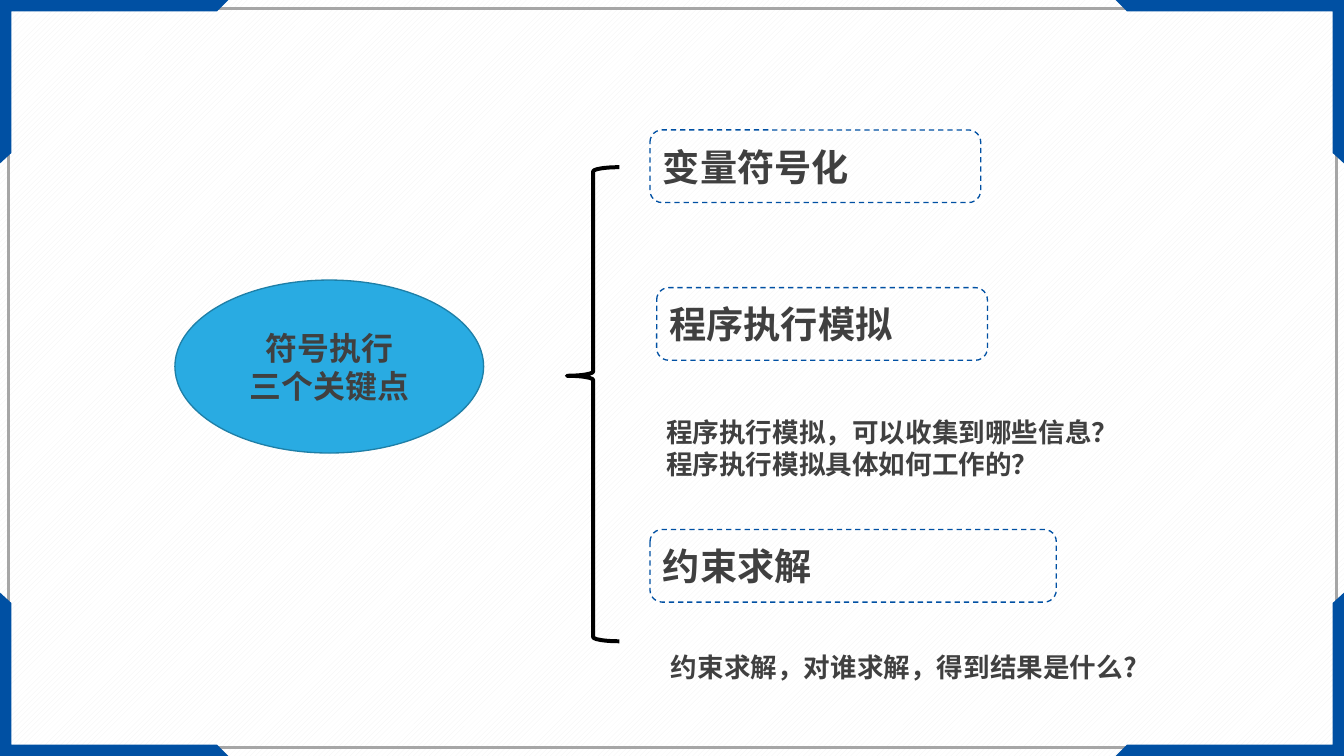
import pptx
import pptx.util
import pptx.dml.color
import pptx.enum.dml
import pptx.enum.shapes
import pptx.enum.text
import pptx.oxml.ns
import lxml.etree

Inches = pptx.util.Inches
Pt = pptx.util.Pt
RGBColor = pptx.dml.color.RGBColor
SHAPE = pptx.enum.shapes.MSO_SHAPE
ALIGN = pptx.enum.text.PP_ALIGN
ANCHOR = pptx.enum.text.MSO_ANCHOR
DASH = pptx.enum.dml.MSO_LINE.DASH

WHITE = RGBColor(0xFF, 0xFF, 0xFF)
PALE = RGBColor(0xF2, 0xF2, 0xF2)
GRAY = RGBColor(0xA6, 0xA6, 0xA6)
NAVY = RGBColor(0x00, 0x50, 0xA3)
SKY = RGBColor(0x29, 0xAB, 0xE2)
TEAL = RGBColor(0x1E, 0x7F, 0xA7)
BLACK = RGBColor(0x00, 0x00, 0x00)
INK = RGBColor(0x40, 0x40, 0x40)

FONT = "Noto Sans CJK SC"
WIDTH, HEIGHT = 14.06, 7.91
CORNER = [(0, 0), (2.39, 0), (2.27, 0.12), (0.12, 0.12), (0.12, 1.6), (0, 1.71)]

TOPICS = [
    ("变量符号化", 6.8, 1.36, 3.46),
    ("程序执行模拟", 6.87, 3.01, 3.46),
    ("约束求解", 6.8, 5.54, 4.25),
]


def write(shape, text, size=20, align=ALIGN.LEFT, anchor=ANCHOR.TOP, wrap=True):
    """Put each line of text in its own paragraph."""
    frame = shape.text_frame
    frame.word_wrap = wrap
    frame.vertical_anchor = anchor
    for i, line in enumerate(text.split("\n")):
        para = frame.add_paragraph() if i else frame.paragraphs[0]
        para.alignment = align
        para.line_spacing = Pt(size * 1.2)
        run = para.add_run()
        run.text = line
        font = run.font
        font.size, font.bold, font.name = Pt(size), True, FONT
        font.color.rgb = INK
        tag = pptx.oxml.ns.qn("a:ea")
        lxml.etree.SubElement(font._element, tag).set("typeface", FONT)


def paint(shape, fill=None, line=None, width=1, dash=None):
    shape.shadow.inherit = False
    if fill is None:
        shape.fill.background()
    else:
        shape.fill.solid()
        shape.fill.fore_color.rgb = fill
    if line is None:
        shape.line.fill.background()
    else:
        shape.line.color.rgb = line
        shape.line.width = Pt(width)
        if dash is not None:
            shape.line.dash_style = dash


def draw(slide, kind, box, **look):
    shape = slide.shapes.add_shape(kind, *map(Inches, box))
    paint(shape, **look)
    return shape


def add_corner(slide, right, low):
    """Mirror the top left corner piece to the chosen corner."""
    points = [
        (Inches(WIDTH - x if right else x), Inches(HEIGHT - y if low else y))
        for x, y in CORNER
    ]
    path = slide.shapes.build_freeform(*points[0])
    path.add_line_segments(points[1:], close=True)
    paint(path.convert_to_shape(), fill=NAVY)


def add_note(slide, text, box, wrap=True):
    note = slide.shapes.add_textbox(*map(Inches, box))
    write(note, text, wrap=wrap)
    note.text_frame.auto_size = pptx.enum.text.MSO_AUTO_SIZE.SHAPE_TO_FIT_TEXT


def add_back(slide):
    fill = slide.background.fill
    fill.patterned()
    fill.pattern = pptx.enum.dml.MSO_PATTERN.WIDE_UPWARD_DIAGONAL
    fill.fore_color.rgb = PALE
    fill.back_color.rgb = WHITE
    draw(slide, SHAPE.RECTANGLE, (0.09, 0.09, 13.89, 7.73), line=GRAY, width=2)
    for right in (False, True):
        for low in (False, True):
            add_corner(slide, right, low)


def main():
    deck = pptx.Presentation()
    deck.slide_width, deck.slide_height = Inches(WIDTH), Inches(HEIGHT)
    slide = deck.slides.add_slide(deck.slide_layouts[6])
    add_back(slide)

    hub = draw(slide, SHAPE.OVAL, (1.83, 2.93, 3.23, 1.81), fill=SKY, line=TEAL)
    write(hub, "符号执行\n三个关键点", size=24, align=ALIGN.CENTER, anchor=ANCHOR.MIDDLE)

    for text, left, top, width in TOPICS:
        topic = draw(slide, SHAPE.ROUNDED_RECTANGLE, (left, top, width, 0.76),
                     line=NAVY, dash=DASH)
        write(topic, text, size=28, anchor=ANCHOR.MIDDLE)

    brace = draw(slide, SHAPE.LEFT_BRACE, (5.93, 1.75, 0.55, 4.96), line=BLACK, width=3)
    brace.adjustments[0] = 0.08
    brace.adjustments[1] = 0.44

    add_note(slide, "程序执行模拟，可以收集到哪些信息？\n程序执行模拟具体如何工作的？",
             (6.87, 4.3, 4.97, 0.77), wrap=False)
    add_note(slide, "约束求解，对谁求解，得到结果是什么?", (6.92, 6.76, 5.03, 0.44))

    deck.save("out.pptx")


if __name__ == "__main__":
    main()
